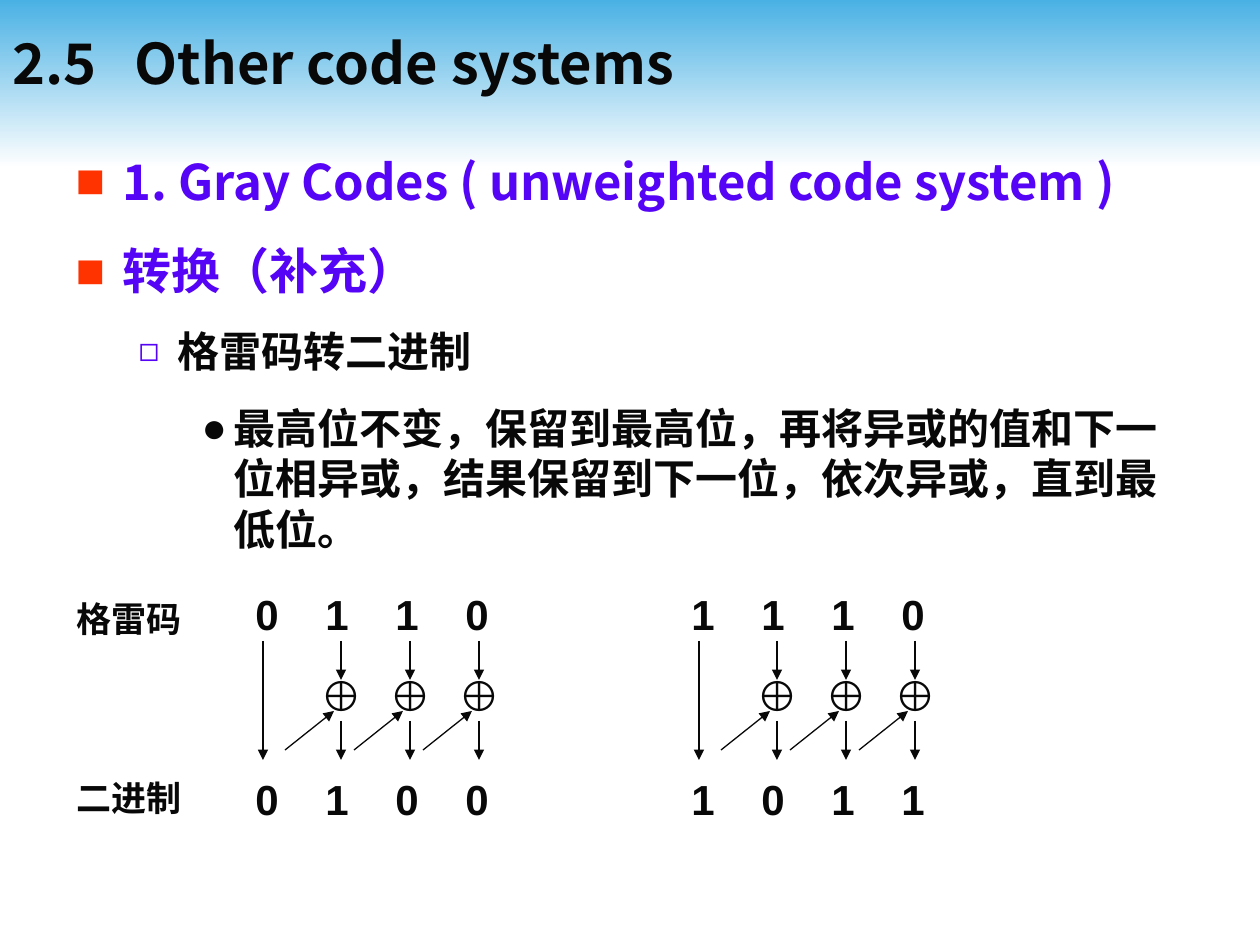
from pptx import Presentation
from pptx.dml.color import RGBColor
from pptx.enum.shapes import MSO_CONNECTOR, MSO_SHAPE
from pptx.enum.text import MSO_ANCHOR, MSO_AUTO_SIZE, PP_ALIGN
from pptx.oxml.ns import qn
from pptx.util import Emu, Pt
from lxml.etree import SubElement

PX_PER_INCH = 126
SKY = RGBColor(0x4A, 0xB1, 0xE4)
WHITE = RGBColor(0xFF, 0xFF, 0xFF)
INK = RGBColor(0x08, 0x08, 0x08)
VIOLET = RGBColor(0x55, 0x04, 0xF6)
ORANGE = RGBColor(0xFF, 0x33, 0x00)
CJK, ARIAL, TIMES = "Noto Sans CJK JP", "Arial", "Times New Roman"

# One entry per outline level; indent and hang are in px.
LEVELS = [
    {"indent": 47, "hang": 47, "before": 17.5, "bullet": "■", "bullet_color": ORANGE,
     "bullet_size": 100, "font": {"name": CJK, "size": 28, "color": VIOLET}},
    {"indent": 102, "hang": 39, "before": 15, "bullet": "◻", "bullet_color": VIOLET,
     "bullet_size": 80, "font": {"name": TIMES, "size": 24, "color": INK}},
    {"indent": 158, "hang": 32, "before": 15, "bullet": "●", "bullet_color": INK,
     "bullet_size": 100, "font": {"name": ARIAL, "size": 24, "color": INK}},
]
OUTLINE = [
    (0, "1. Gray Codes ( unweighted code system )"),
    (0, "转换（补充）"),
    (1, "格雷码转二进制"),
    (2, "最高位不变，保留到最高位，再将异或的值和下一位相异或，"
        "结果保留到下一位，依次异或，直到最低位。"),
]


def px(value):
    return Emu(round(value * 914400 / PX_PER_INCH))


def place(shape, left, top, width, height):
    box = {"left": left, "top": top, "width": width, "height": height}
    for name, value in box.items():
        setattr(shape, name, px(value))


def format_font(para, name, size, color):
    for target in (para, *para.runs):
        values = {"name": name, "size": Pt(size), "bold": True}
        for key, value in values.items():
            setattr(target.font, key, value)
        target.font.color.rgb = color
    for span in para.runs:
        SubElement(span.font._element, qn("a:ea"), typeface=CJK)


def add_tabs(para, stops):
    tabs = SubElement(para._p.get_or_add_pPr(), qn("a:tabLst"))
    for stop in stops:
        SubElement(tabs, qn("a:tab"), pos=str(px(stop)), algn="l")


def add_bullet(para, style):
    props = para._p.get_or_add_pPr()
    props.set("marL", str(px(style["indent"])))
    props.set("indent", str(px(-style["hang"])))
    color = SubElement(props, qn("a:buClr"))
    SubElement(color, qn("a:srgbClr"), val=str(style["bullet_color"]))
    SubElement(props, qn("a:buSzPct"), val=str(style["bullet_size"] * 1000))
    SubElement(props, qn("a:buFont"), typeface=ARIAL)
    SubElement(props, qn("a:buChar"), char=style["bullet"])


def add_text(shapes, text, box, size, tabs=(), inset=True):
    frame = shapes.add_textbox(*map(px, box)).text_frame
    frame.word_wrap = True
    if not inset:
        for side in ("left", "top", "right", "bottom"):
            setattr(frame, f"margin_{side}", 0)
    para = frame.paragraphs[0]
    para.text = text
    if tabs:
        add_tabs(para, tabs)
    format_font(para, ARIAL, size, INK)


def add_arrow(shapes, x1, y1, x2, y2):
    arrow = shapes.add_connector(MSO_CONNECTOR.STRAIGHT, *map(px, (x1, y1, x2, y2)))
    arrow.line.color.rgb = INK
    arrow.line.width = Pt(0.75)
    SubElement(arrow.line._get_or_add_ln(), qn("a:tailEnd"), type="triangle")
    SubElement(arrow._element.spPr, qn("a:effectLst"))


def add_band(page, left, top, width, height):
    """Put the gradient band behind everything else."""
    band = page.shapes.add_shape(MSO_SHAPE.RECTANGLE, *map(px, (left, top, width, height)))
    band.shadow.inherit = False
    band.line.fill.background()
    band.fill.gradient()
    band.fill.gradient_angle = 270
    for stop, color, position in zip(band.fill.gradient_stops, (SKY, WHITE), (0, 1)):
        stop.color.rgb = color
        stop.position = position
    page.shapes._spTree.insert(2, band._element)


def fill_title(title, left, top, width, height):
    place(title, left, top, width, height)
    frame = title.text_frame
    frame.auto_size = MSO_AUTO_SIZE.NONE
    frame.vertical_anchor = MSO_ANCHOR.MIDDLE
    para = frame.paragraphs[0]
    para.text = "2.5\tOther code systems"
    para.alignment = PP_ALIGN.LEFT
    para.line_spacing = 0.9
    add_tabs(para, [122])
    format_font(para, CJK, 32, INK)


def fill_outline(body, left, top, width, height):
    place(body, left, top, width, height)
    frame = body.text_frame
    frame.auto_size = MSO_AUTO_SIZE.NONE
    for index, (level, text) in enumerate(OUTLINE):
        style = LEVELS[level]
        para = frame.add_paragraph() if index else frame.paragraphs[0]
        para.text = text
        para.level = level
        para.space_before = Pt(style["before"] if index else 0)
        add_bullet(para, style)
        format_font(para, **style["font"])


def add_conversion(page, left, top, gray, binary):
    """Draw the XOR chain that turns the Gray digits into binary digits."""
    shapes = page.shapes.add_group_shape().shapes
    digit_tabs = [70 * n for n in range(1, len(gray))]
    for digits, row in ((gray, 0), (binary, 185)):
        add_text(shapes, "\t".join(digits), (left, top + row, 270, 63), 24, digit_tabs)
    start, end = top + 59, top + 178
    add_arrow(shapes, left + 20, start, left + 20, end)
    for column in range(len(gray) - 1):
        x = left + 69 * column
        add_text(shapes, "⊕", (x + 77, top + 88, 42, 50), 24, inset=False)
        add_arrow(shapes, x + 42, top + 168, x + 91, top + 129)
        add_arrow(shapes, x + 98, start, x + 98, start + 39)
        add_arrow(shapes, x + 98, end - 39, x + 98, end)


def main():
    deck = Presentation()
    deck.slide_width, deck.slide_height = px(1260), px(945)
    page = deck.slides.add_slide(deck.slide_layouts[1])
    add_band(page, 0, 0, 1260, 168)
    fill_title(page.shapes.title, 0, 6, 1198, 120)
    fill_outline(page.placeholders[1], 63, 145, 1134, 727)
    add_conversion(page, 243, 582, "0110", "0100")
    add_conversion(page, 679, 582, "1110", "1011")
    for text, top in (("格雷码", 591), ("二进制", 770)):
        add_text(page.shapes, text, (64, top, 149, 55), 20)
    deck.save("out.pptx")


if __name__ == "__main__":
    main()
